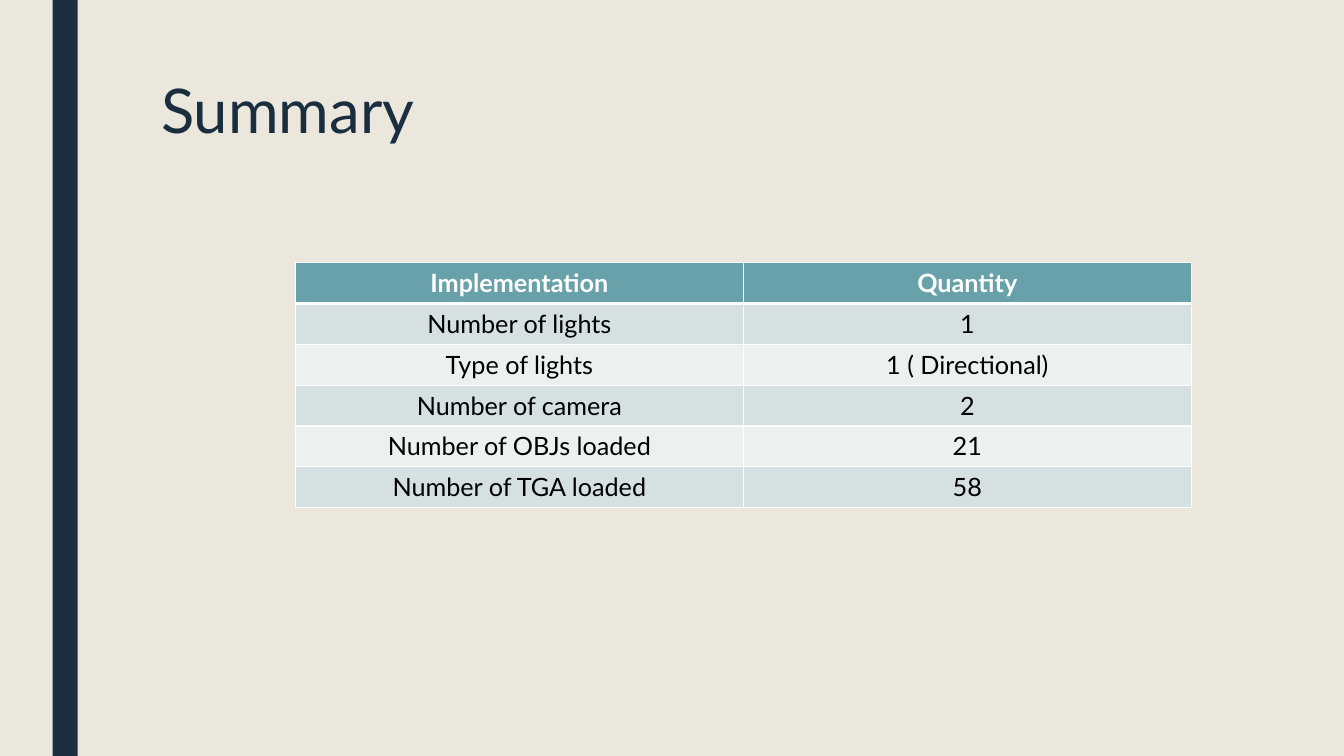
from lxml import etree
from pptx import Presentation
from pptx.dml.color import RGBColor
from pptx.enum import shapes, text
from pptx.oxml import ns
from pptx.util import Pt

FONT = "Lato"
NAVY, TEAL, WHITE, BLACK, CREAM = "1A2E40", "69A1AB", "FFFFFF", "000000", "EBE7DD"
BANDS = "D4E0E2", "EBF0F1"
ROWS = [
    ("Implementation", "Quantity"),
    ("Number of lights", "1"),
    ("Type of lights", "1 ( Directional)"),
    ("Number of camera", "2"),
    ("Number of OBJs loaded", "21"),
    ("Number of TGA loaded", "58"),
]


def paint(fill, color):
    """Fill with one solid hex colour."""
    fill.solid()
    fill.fore_color.rgb = RGBColor.from_string(color)


def style(para, size, color, bold=False):
    """Set the font of a paragraph."""
    font = para.font
    font.name, font.size, font.bold = FONT, Pt(size), bold
    paint(font.fill, color)


def edge(cell, side, width):
    """Draw one white border of a cell."""
    props = cell._tc.get_or_add_tcPr()
    line = etree.SubElement(props, ns.qn("a:ln" + side), w=str(Pt(width)))
    solid = etree.SubElement(line, ns.qn("a:solidFill"))
    etree.SubElement(solid, ns.qn("a:srgbClr"), val=WHITE)


def add_bar(slide, x, y, w, h):
    """Add the dark side bar."""
    bar = slide.shapes.add_shape(
        shapes.MSO_SHAPE.RECTANGLE, Pt(x), Pt(y), Pt(w), Pt(h))
    bar.shadow.inherit = False
    paint(bar.fill, NAVY)
    bar.line.fill.background()


def add_title(slide, x, y, w, h):
    """Add the slide title."""
    frame = slide.shapes.add_textbox(Pt(x), Pt(y), Pt(w), Pt(h)).text_frame
    frame.word_wrap = True
    para = frame.paragraphs[0]
    para.text, para.line_spacing = "Summary", 0.89
    style(para, 44, NAVY)


def add_grid(slide, x, y, w, h):
    """Add the banded summary table."""
    grid = slide.shapes.add_table(
        len(ROWS), len(ROWS[0]), Pt(x), Pt(y), Pt(w), Pt(h)).table
    for r, row in enumerate(ROWS):
        head = r == 0
        for c, words in enumerate(row):
            cell = grid.cell(r, c)
            para = cell.text_frame.paragraphs[0]
            para.text, para.alignment = words, text.PP_ALIGN.CENTER
            style(para, 18, WHITE if head else BLACK, head)
            for side in "LRTB":
                thick = (r, side) in [(0, "B"), (1, "T")]
                edge(cell, side, 3 if thick else 1)
            paint(cell.fill, TEAL if head else BANDS[(r - 1) % 2])


def main():
    """Build and save the slide."""
    deck = Presentation()
    deck.slide_width, deck.slide_height = Pt(960), Pt(540)
    slide = deck.slides.add_slide(deck.slide_layouts[6])
    paint(slide.background.fill, CREAM)
    add_bar(slide, 37.5, 0, 18, 540)
    add_title(slide, 108, 54, 756, 117)
    add_grid(slide, 211, 187.5, 640, 175.2)
    deck.save("out.pptx")


if __name__ == "__main__":
    main()
